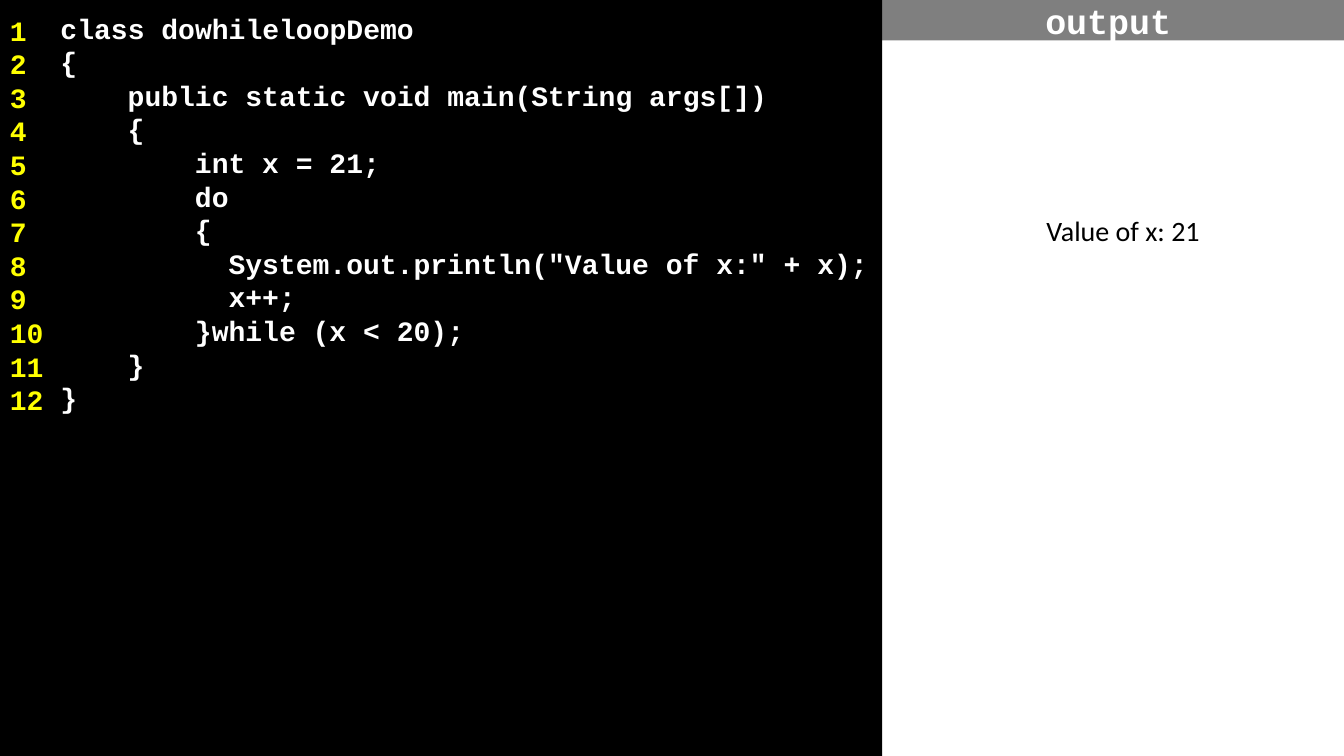
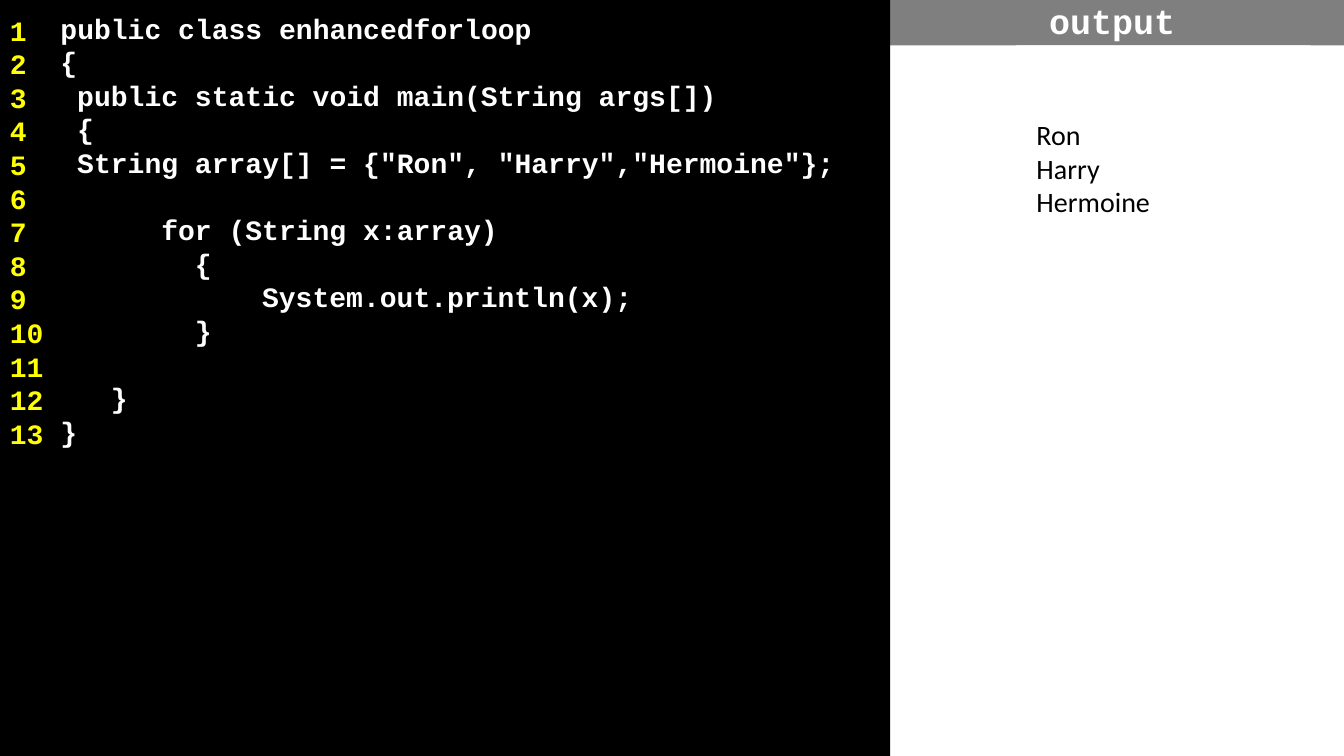
"""Build two slides that show numbered code beside its output."""
from dataclasses import dataclass

from lxml import etree
from pptx import Presentation
from pptx import util as u
from pptx.dml.color import RGBColor
from pptx.enum import shapes, text
from pptx.oxml.ns import qn

COLORS = {"black": "000000", "white": "FFFFFF", "gray": "7F7F7F", "yellow": "FFFF00"}
SLIDE_W, SLIDE_H = 13.33, 7.5
HEADER_H = 0.45
STRIP_W, STRIP_TOP = 0.58, 0.08
LINE_PT = 24
CHAR_PT = 12
LEFT, CENTER = text.PP_ALIGN.LEFT, text.PP_ALIGN.CENTER


@dataclass(frozen=True)
class Style:
    font: str
    size: int
    color: str
    bold: bool = True


@dataclass(frozen=True)
class Box:
    left: float
    top: float
    width: float
    height: float
    fill: str
    insets: tuple[float, float, float, float] = (0, 0, 0, 0)


@dataclass(frozen=True)
class Page:
    split: float
    code: str
    output: tuple[str, ...]
    output_box: tuple[float, float, float]
    output_skip: int
    output_align: text.PP_ALIGN


CODE = Style("Courier New", 20, "white")
NUMBER = Style("Courier New", 20, "yellow")
HEADER = Style("Courier New", 25, "white")
OUTPUT = Style("Calibri", 20, "black", False)

PAGES = (
    Page(8.75, """class dowhileloopDemo
{
    public static void main(String args[])
    {
        int x = 21;
        do
        {
          System.out.println("Value of x:" + x);
          x++;
        }while (x < 20);
    }
}""", ("Value of x: 21",), (8.75, 0.4, 4.58), 5, CENTER),
    Page(8.83, """public class enhancedforloop
{
 public static void main(String args[])
 {
 String array[] = {"Ron", "Harry","Hermoine"};

      for (String x:array)
        {
            System.out.println(x);
        }

   }
}""", ("Ron", "Harry", "Hermoine"), (10.08, HEADER_H, 2.92), 2, LEFT),
)


def add_box(s, box: Box, opacity: int = 100):
    """Add a plain filled rectangle with text insets."""
    sp = s.shapes.add_shape(
        shapes.MSO_SHAPE.RECTANGLE,
        *(u.Inches(v) for v in (box.left, box.top, box.width, box.height)))
    sp.shadow.inherit = False
    sp.fill.solid()
    sp.fill.fore_color.rgb = RGBColor.from_string(COLORS[box.fill])
    sp.line.fill.background()
    if opacity < 100:
        clr = sp._element.spPr.find(".//" + qn("a:srgbClr"))
        etree.SubElement(clr, qn("a:alpha"), val=str(opacity * 1000))
    tf = sp.text_frame
    tf.word_wrap = True
    tf.vertical_anchor = text.MSO_ANCHOR.TOP
    for side, inset in zip(("left", "top", "right", "bottom"), box.insets):
        setattr(tf, f"margin_{side}", u.Inches(inset))
    return sp


def write_lines(sp, lines, style: Style, align=LEFT, spacing=u.Pt(LINE_PT)) -> None:
    """Write lines, turning leading spaces into indents and empty lines into spacing."""
    tf = sp.text_frame
    p, skipped = None, 0
    for line in lines:
        if not line.strip():
            skipped += 1
            continue
        p = tf.paragraphs[0] if p is None else tf.add_paragraph()
        formats = {"alignment": align, "line_spacing": spacing,
                   "space_before": u.Pt(skipped * LINE_PT)}
        for name, value in formats.items():
            setattr(p, name, value)
        content = line.lstrip()
        indent = u.Pt((len(line) - len(content)) * CHAR_PT)
        p._p.get_or_add_pPr().set("marL", str(int(indent)))
        r = p.add_run()
        r.text = content
        for name, value in {"name": style.font, "size": u.Pt(style.size),
                            "bold": style.bold}.items():
            setattr(r.font, name, value)
        r.font.color.rgb = RGBColor.from_string(COLORS[style.color])
        skipped = 0


def add_output(s, page: Page) -> None:
    """Draw the output header and the output panel."""
    header = add_box(s, Box(page.split, 0, SLIDE_W - page.split, HEADER_H, "gray",
                            (0, 0.05, 0.1, 0.1)))
    header.text_frame.vertical_anchor = text.MSO_ANCHOR.MIDDLE
    write_lines(header, ["output"], HEADER, CENTER, 1.0)
    left, top, width = page.output_box
    inset = 0.05 + u.Pt(page.output_skip * LINE_PT).inches
    panel = add_box(s, Box(left, top, width, SLIDE_H - top, "white", (0.2, inset, 0, 0)))
    write_lines(panel, page.output, OUTPUT, page.output_align)


def add_code(s, page: Page) -> None:
    """Draw the code panel and its strip of line numbers."""
    lines = page.code.splitlines()
    panel = add_box(s, Box(0, 0, page.split, SLIDE_H, "black", (0.6, 0.11, 0.1, 1)))
    write_lines(panel, lines, CODE)
    add_box(s, Box(0, 0, STRIP_W, STRIP_TOP, "black"), 68)
    strip = add_box(s, Box(0, STRIP_TOP, STRIP_W, SLIDE_H - STRIP_TOP, "black",
                           (0.1, 0.05, 0.1, 1)), 68)
    write_lines(strip, [str(n) for n in range(1, len(lines) + 1)], NUMBER)


def main() -> None:
    """Build and save the presentation."""
    prs = Presentation()
    prs.slide_width, prs.slide_height = u.Inches(SLIDE_W), u.Inches(SLIDE_H)
    for page in PAGES:
        s = prs.slides.add_slide(prs.slide_layouts[6])
        add_output(s, page)
        add_code(s, page)
    prs.save("out.pptx")


if __name__ == "__main__":
    main()
